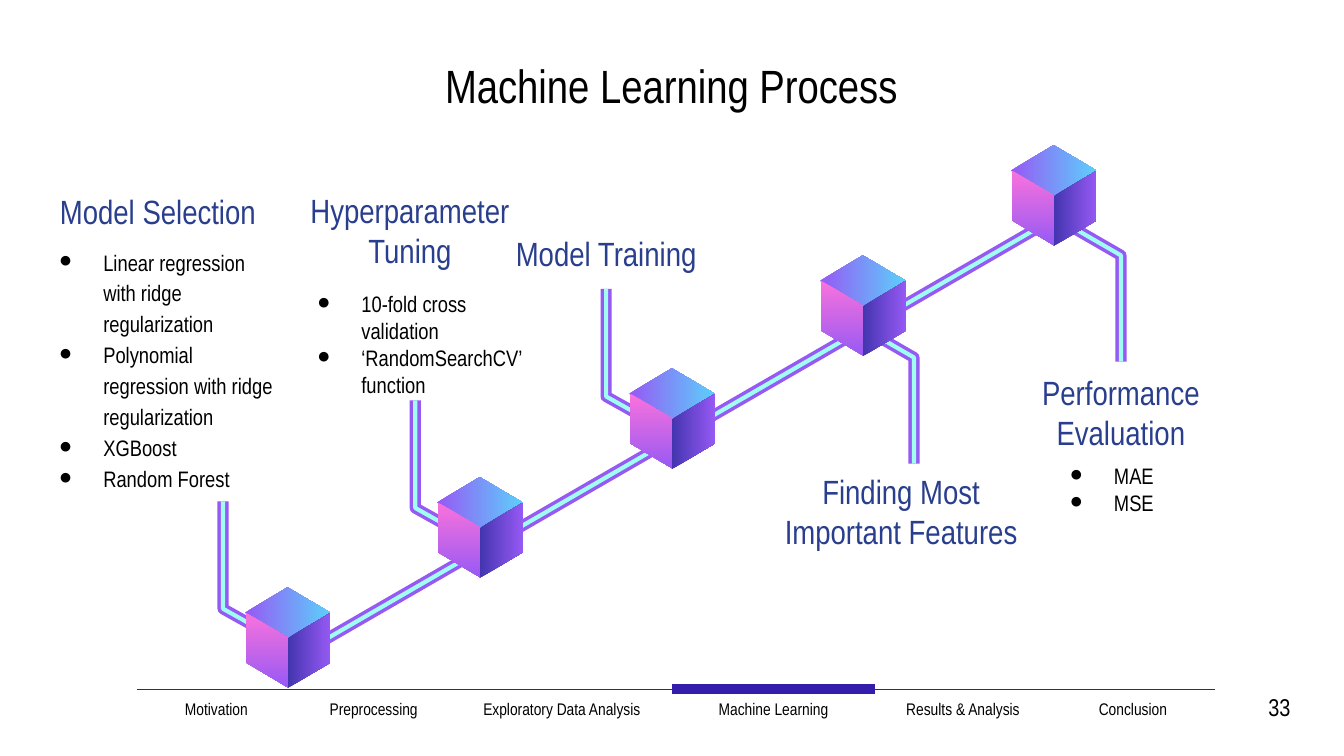
import pptx
import pptx.dml.color
import pptx.enum.text
import pptx.oxml
import pptx.oxml.ns
import pptx.util

Inches = pptx.util.Inches
Pt = pptx.util.Pt
ALIGN = pptx.enum.text.PP_ALIGN
ANCHOR = pptx.enum.text.MSO_ANCHOR

COLORS = {
    "black": "000000",
    "heading": "293E8D",
    "rule": "351DAB",
    "purple": "9659F4",
    "mint": "A0FDF1",
    "sky": "5CCFFB",
    "pink": "FA72DC",
    "indigo": "4335AF",
}
TUBE = (("purple", 6), ("mint", 2.25))
NO_STYLE = "{2D5ABB26-0587-4C30-8999-92F81FD0307C}"


def rgb(name):
    return pptx.dml.color.RGBColor.from_string(COLORS[name])


class ProcessSlide:
    """Draws the elements of one slide in a shared style."""

    font = "Arial Narrow"

    def __init__(self, presentation):
        self.slide = presentation.slides.add_slide(presentation.slide_layouts[6])
        self.shapes = self.slide.shapes

    def set_font(self, paragraph, size, color):
        paragraph.font.name = self.font
        paragraph.font.size = Pt(size)
        paragraph.font.color.rgb = rgb(color)

    def text(self, box, lines, size, color="black", align=ALIGN.CENTER,
             anchor=ANCHOR.MIDDLE):
        frame = self.shapes.add_textbox(*map(Inches, box)).text_frame
        frame.word_wrap = True
        frame.vertical_anchor = anchor
        frame.margin_left = frame.margin_right = Inches(0.1)
        frame.margin_top = frame.margin_bottom = Inches(0.1)
        frame.text = "\n".join(lines)
        for paragraph in frame.paragraphs:
            paragraph.alignment = align
            self.set_font(paragraph, size, color)
        return frame

    def heading(self, box, label):
        self.text(box, [label], 18, "heading")

    def bullets(self, box, lines, spacing=1.0):
        frame = self.text(box, lines, 12, align=ALIGN.LEFT)
        for paragraph in frame.paragraphs:
            paragraph.line_spacing = spacing
            properties = paragraph._p.get_or_add_pPr()
            properties.set("marL", str(Inches(0.5)))
            properties.set("indent", str(Inches(-0.33)))
            marks = (("a:buSzPts", {"val": "1200"}),
                     ("a:buFont", {"typeface": self.font}),
                     ("a:buChar", {"char": "●"}))
            for position, (tag, values) in enumerate(marks, 1):
                properties.insert(position, properties.makeelement(
                    pptx.oxml.ns.qn(tag), values))

    def outline(self, points, close):
        (x, y), *rest = [(Inches(x), Inches(y)) for x, y in points]
        builder = self.shapes.build_freeform(x, y)
        builder.add_line_segments(rest, close=close)
        shape = builder.convert_to_shape()
        shape.shadow.inherit = False
        return shape

    def elbow(self, points):
        for color, width in TUBE:
            shape = self.outline(points, close=False)
            shape.fill.background()
            shape.line.color.rgb = rgb(color)
            shape.line.width = Pt(width)

    def spine(self, start, end):
        for color, width in TUBE:
            line = self.shapes.add_connector(1, *map(Inches, start + end))
            line.line.color.rgb = rgb(color)
            line.line.width = Pt(width)
            properties = line._element.spPr
            properties.append(
                properties.makeelement(pptx.oxml.ns.qn("a:effectLst")))

    def face(self, points, colors, angle):
        shape = self.outline(points, close=True)
        shape.line.fill.background()
        shape.fill.gradient()
        shape.fill.gradient_angle = angle
        for stop, color in zip(shape.fill.gradient_stops, colors):
            stop.color.rgb = rgb(color)

    def cube(self, x, top):
        shoulder, middle = top + 0.19, top + 0.38
        low, bottom = top + 0.56, top + 0.75
        self.face([(x, middle), (x - 0.32, shoulder), (x, top),
                   (x + 0.32, shoulder)], ("purple", "sky"), 0)
        for side, edge, colors, angle in (
                (x - 0.31, x + 0.01, ("pink", "purple"), 270),
                (x + 0.32, x, ("indigo", "purple"), 0)):
            self.face([(side, shoulder), (side, low), (edge, bottom),
                       (edge, middle)], colors, angle)

    def navigation(self, box, columns, current):
        frame = self.shapes.add_table(1, len(columns), *map(Inches, box))
        table = frame.table
        table.first_row = table.horz_banding = False
        table._tbl.tblPr.find(pptx.oxml.ns.qn("a:tableStyleId")).text = NO_STYLE
        for index, (label, width) in enumerate(columns):
            table.columns[index].width = Inches(width)
            cell = table.cell(0, index)
            cell.text = label
            cell.margin_top = cell.margin_bottom = Inches(0.1)
            paragraph = cell.text_frame.paragraphs[0]
            paragraph.alignment = ALIGN.CENTER
            self.set_font(paragraph, 9, "black")
            cell.fill.background()
            self.borders(cell, 6 if label == current else 0.75)

    def borders(self, cell, top_width):
        rule = (f'<a:solidFill><a:srgbClr val="{COLORS["rule"]}"/></a:solidFill>'
                '<a:prstDash val="solid"/>')
        properties = cell._tc.get_or_add_tcPr()
        for position, side in enumerate("LRTB"):
            width, paint = ((top_width, rule) if side == "T"
                            else (0.75, "<a:noFill/>"))
            properties.insert(position, pptx.oxml.parse_xml(
                f'<a:ln{side} {pptx.oxml.ns.nsdecls("a")} w="{int(Pt(width))}" '
                f'cap="flat" cmpd="sng">{paint}</a:ln{side}>'))


def main():
    presentation = pptx.Presentation()
    presentation.slide_width = Inches(10)
    presentation.slide_height = Inches(10) * 9 // 16
    page = ProcessSlide(presentation)

    page.navigation(
        (1.02, 5.13, 8.02, 0.5),
        [("Motivation", 1.18), ("Preprocessing", 1.16),
         ("Exploratory Data Analysis", 1.64), ("Machine Learning", 1.51),
         ("Results & Analysis", 1.31), ("Conclusion", 1.22)],
        "Machine Learning")
    page.text((9.25, 5.05, 0.45, 0.5), ["33"], 13, align=ALIGN.RIGHT,
              anchor=ANCHOR.TOP)

    for x, y in ((6.28, 2.36), (7.82, 1.6)):
        page.elbow([(x, y), (x + 0.52, y + 0.3), (x + 0.52, y + 1.09)])
    for x, y in ((3.09, 2.98), (4.51, 2.15), (1.66, 3.73)):
        page.elbow([(x + 0.52, y + 1.09), (x, y + 0.8), (x, y)])

    page.text((0.56, 0.32, 8.87, 0.63), ["Machine Learning Process"], 25,
              anchor=ANCHOR.TOP)
    page.spine((7.82, 1.64), (2.09, 4.95))
    for x, top in ((2.14, 4.37), (3.57, 3.55), (5, 2.74), (6.42, 1.9),
                   (7.84, 1.08)):
        page.cube(x, top)

    page.heading((0.17, 1.39, 2.01, 0.36), "Model Selection")
    page.bullets((0.17, 1.75, 2.01, 1.98),
                 ["Linear regression with ridge regularization",
                  "Polynomial regression with ridge regularization",
                  "XGBoost", "Random Forest"], 1.15)
    page.heading((2.09, 1.36, 1.92, 0.7), "Hyperparameter Tuning")
    page.bullets((2.09, 2.28, 1.92, 0.56),
                 ["10-fold cross validation", "‘RandomSearchCV’ function"])
    page.heading((5.65, 3.57, 2.11, 0.47), "Finding Most Important Features")
    page.heading((7.38, 2.69, 1.92, 0.75), "Performance Evaluation")
    page.bullets((7.69, 3.36, 1.61, 0.56), ["MAE", "MSE"])
    page.heading((3.55, 1.67, 1.92, 0.43), "Model Training")

    presentation.save("out.pptx")


if __name__ == "__main__":
    main()
